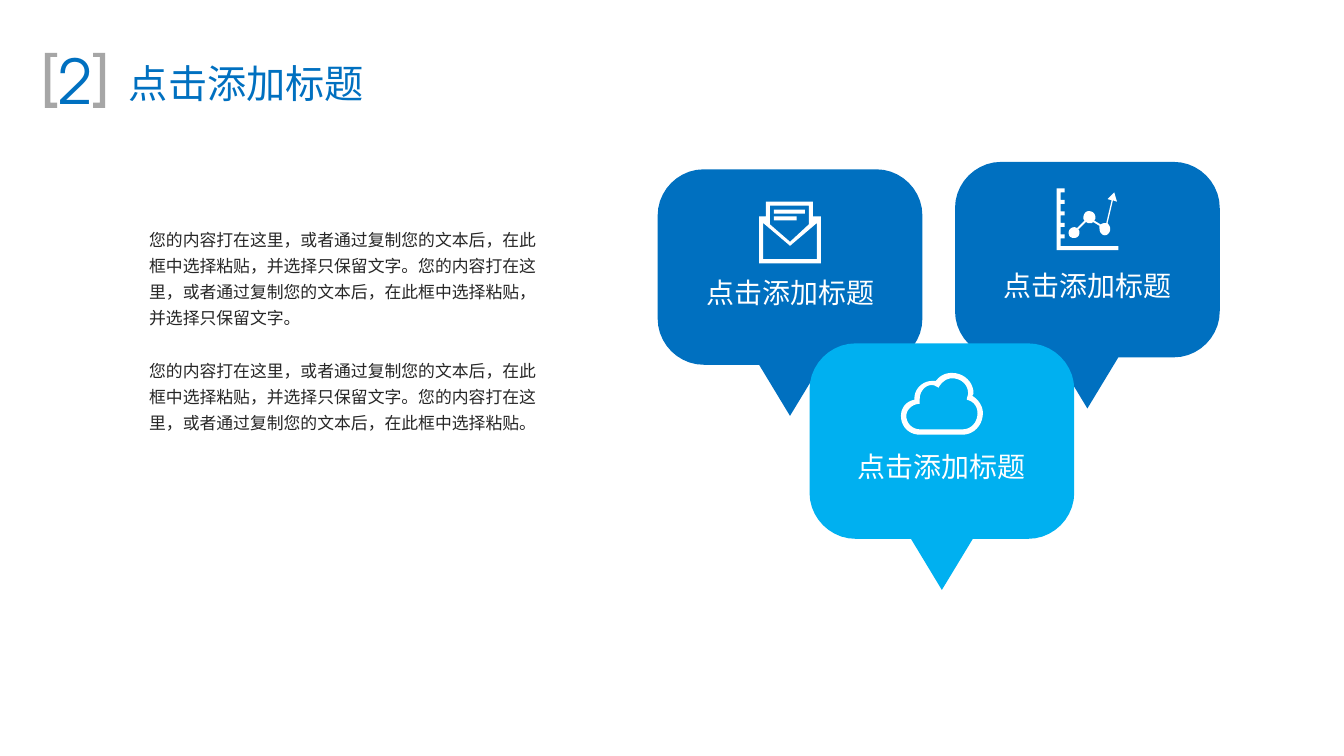
from lxml.etree import SubElement
from pptx import Presentation
from pptx.dml.color import RGBColor
from pptx.enum.text import MSO_ANCHOR as ANCHOR, MSO_AUTO_SIZE as AUTO, PP_ALIGN as ALIGN
from pptx.oxml.ns import qn
from pptx.util import Cm, Pt

BLUE = RGBColor(0x00, 0x70, 0xC0)
SKY = RGBColor(0x00, 0xB0, 0xF0)
GRAY = RGBColor(0xA6, 0xA6, 0xA6)
DARK = RGBColor(0x26, 0x26, 0x26)
WHITE = RGBColor(0xFF, 0xFF, 0xFF)
LATIN, HAN = "TeX Gyre Adventor", "Noto Sans CJK SC"

TITLE = "点击添加标题"
NUMBER = "2"
BODY = [
    "您的内容打在这里，或者通过复制您的文本后，在此框中选择粘贴，并选择只保留文字。"
    "您的内容打在这里，或者通过复制您的文本后，在此框中选择粘贴，并选择只保留文字。",
    "您的内容打在这里，或者通过复制您的文本后，在此框中选择粘贴，并选择只保留文字。"
    "您的内容打在这里，或者通过复制您的文本后，在此框中选择粘贴。",
]

UNIT = Cm(0.0254)
FINE = 100
STEPS = 10

BRACKET = [(0, 0), (9, 0), (9, 3), (4, 3), (4, 37), (9, 37), (9, 41), (0, 41)]
BUBBLE_W = 197
BUBBLE = [
    (34.5, 0), (162.5, 0), (181.5, 0, 197, 15.5, 197, 34.5),
    (197, 111), (197, 130, 181.5, 145.5, 162.5, 145.5),
    (121.5, 145.5), (98.5, 183.5), (75.5, 145.5),
    (34.5, 145.5), (15.5, 145.5, 0, 130, 0, 111),
    (0, 34.5), (0, 15.5, 15.5, 0, 34.5, 0),
]
ENVELOPE = [
    [(40, 11), (40, 0), (5, 0), (5, 11), (0, 11), (0, 46), (46, 46), (46, 11)],
    [(8, 3), (37, 3), (37, 17), (23, 30), (8, 17)],
    [(43, 43), (3, 43), (3, 16), (23, 33), (43, 16)],
    [(34, 9), (11, 9), (11, 6), (34, 6)],
    [(28, 14), (11, 14), (11, 11), (28, 11)],
]
TICKS = [(x, 8.6 * i + dy) for i in range(5) for x, dy in [(3, 0), (6, 0), (6, 3), (3, 3)]]
LINE_CHART = [
    [(46, 43), (46, 46), (0, 46), (0, 0), *TICKS, (3, 43)],
    [
        (13, 37), (15, 37, 17, 36, 17, 33), (17, 32, 17, 31, 16, 31),
        (22, 25), (23, 26, 24, 26, 24, 26), (26, 26, 27, 26, 27, 25),
        (32, 28), (32, 29, 32, 30, 32, 30), (32, 33, 34, 35, 36, 35),
        (38, 35, 40, 33, 40, 30), (40, 29, 39, 27, 38, 26),
        (42, 9), (45, 10), (43, 3), (38, 8), (41, 9), (37, 26),
        (36, 26), (35, 26, 34, 26, 33, 27),
        (28, 24), (29, 23, 29, 22, 29, 22), (29, 19, 27, 17, 24, 17),
        (22, 17, 20, 19, 20, 22), (20, 23, 20, 23, 21, 24),
        (15, 30), (15, 29, 14, 29, 13, 29), (11, 29, 9, 31, 9, 33),
        (9, 36, 11, 37, 13, 37),
    ],
]
CLOUD = [
    [
        (38, 4), (45, 4, 50, 9, 50, 15), (50, 17, 49, 18, 49, 20),
        (54, 21, 57, 25, 57, 30), (57, 37, 52, 42, 46, 42),
        (14, 42), (9, 42, 4, 38, 4, 32), (4, 27, 9, 23, 14, 23),
        (14, 22, 14, 20, 14, 19), (14, 14, 18, 9, 23, 9),
        (25, 9, 26, 10, 28, 11), (30, 7, 34, 4, 38, 4),
    ],
    [
        (38, 0), (33, 0, 29, 2, 26, 6), (25, 6, 24, 6, 23, 6),
        (16, 6, 10, 12, 10, 19), (10, 20), (4, 21, 0, 26, 0, 32),
        (0, 40, 6, 46, 14, 46), (46, 46), (54, 46, 61, 39, 61, 30),
        (61, 25, 58, 20, 53, 17), (53, 17, 54, 16, 54, 15),
        (54, 7, 47, 0, 38, 0),
    ],
]
BUBBLES = [
    (Cm(12.43), Cm(3.2), BLUE, TITLE, ENVELOPE, 46, Cm(0.61)),
    (Cm(18.05), Cm(3.06), BLUE, TITLE, LINE_CHART, 46, Cm(0.5)),
    (Cm(15.3), Cm(6.49), SKY, TITLE, CLOUD, 61, Cm(0.56)),
]


def flatten(outline):
    """Turn corners and cubic curves into fine polyline points."""
    points = [outline[0]]
    for seg in outline[1:]:
        if len(seg) == 2:
            points.append(seg)
            continue
        ctrl = [points[-1], seg[:2], seg[2:4], seg[4:]]
        for i in range(1, STEPS + 1):
            t = i / STEPS
            w = ((1 - t) ** 3, 3 * t * (1 - t) ** 2, 3 * t * t * (1 - t), t ** 3)
            points.append(tuple(sum(k * c[a] for k, c in zip(w, ctrl)) for a in (0, 1)))
    return [(x * FINE, y * FINE) for x, y in points]


def add_outline(slide, outlines, left, top, color):
    """Draw closed outlines as one filled freeform."""
    first, *rest = [flatten(o) for o in outlines]
    builder = slide.shapes.build_freeform(*first[0], scale=UNIT / FINE)
    builder.add_line_segments(first[1:], close=True)
    for points in rest:
        builder.move_to(*points[0])
        builder.add_line_segments(points[1:], close=True)
    sp = builder.convert_to_shape(left, top)
    sp.shadow.inherit = False
    sp.fill.solid()
    sp.fill.fore_color.rgb = color
    sp.line.fill.background()
    return sp


def write(sp, texts, size, color, font, align=ALIGN.CENTER, anchor=ANCHOR.MIDDLE,
          wrap=False, auto=AUTO.SHAPE_TO_FIT_TEXT, insets=(0.25, 0.13, 0.25, 0.13)):
    """Fill a shape with formatted paragraphs."""
    tf = sp.text_frame
    tf.text = "\n".join(texts)
    tf.word_wrap, tf.auto_size, tf.vertical_anchor = wrap, auto, anchor
    tf.margin_left, tf.margin_top, tf.margin_right, tf.margin_bottom = map(Cm, insets)
    for p in tf.paragraphs:
        p.alignment = align
        for r in p.runs:
            r.font.size, r.font.name = Pt(size), font
            r.font.color.rgb = color
            SubElement(r.font._element, qn("a:ea")).set("typeface", font)
    return tf


def main():
    """Build the slide and save it."""
    prs = Presentation()
    prs.slide_width, prs.slide_height = Cm(25.4), Cm(14.29)
    slide = prs.slides.add_slide(prs.slide_layouts[5])

    title = slide.shapes.title
    title.left, title.top, title.width, title.height = Cm(2.16), Cm(0.99), Cm(5), Cm(1.14)
    write(title, [TITLE], 21, BLUE, LATIN).paragraphs[0].line_spacing = 1.0

    number = slide.shapes.add_textbox(Cm(0.84), Cm(0.71), Cm(1.19), Cm(1.63))
    write(number, [NUMBER], 33, BLUE, LATIN, insets=(0.25, 0.1, 0.25, 0.13))
    mirrored = [(9 - x, y) for x, y in BRACKET]
    for outline, left in [(BRACKET, Cm(0.85)), (mirrored, Cm(1.76))]:
        add_outline(slide, [outline], left, Cm(1), GRAY)

    for left, top, color, label, *_ in BUBBLES:
        sp = add_outline(slide, [BUBBLE], left, top, color)
        write(sp, [label], 15, WHITE, HAN, wrap=True, auto=AUTO.NONE,
              insets=(0.18, 0.1, 0.18, 0.1))
    for left, top, _, _, icon, width, drop in BUBBLES:
        add_outline(slide, icon, left + (BUBBLE_W - width) * UNIT // 2, top + drop, WHITE)

    body = slide.shapes.add_textbox(Cm(2.57), Cm(4.09), Cm(7.9), Cm(4.75))
    tf = write(body, BODY, 9, DARK, HAN, ALIGN.LEFT, ANCHOR.TOP, wrap=True)
    for i, p in enumerate(tf.paragraphs):
        p.line_spacing = 1.3
        p.space_before = Pt(14 if i else 0)

    prs.save("out.pptx")


if __name__ == "__main__":
    main()
